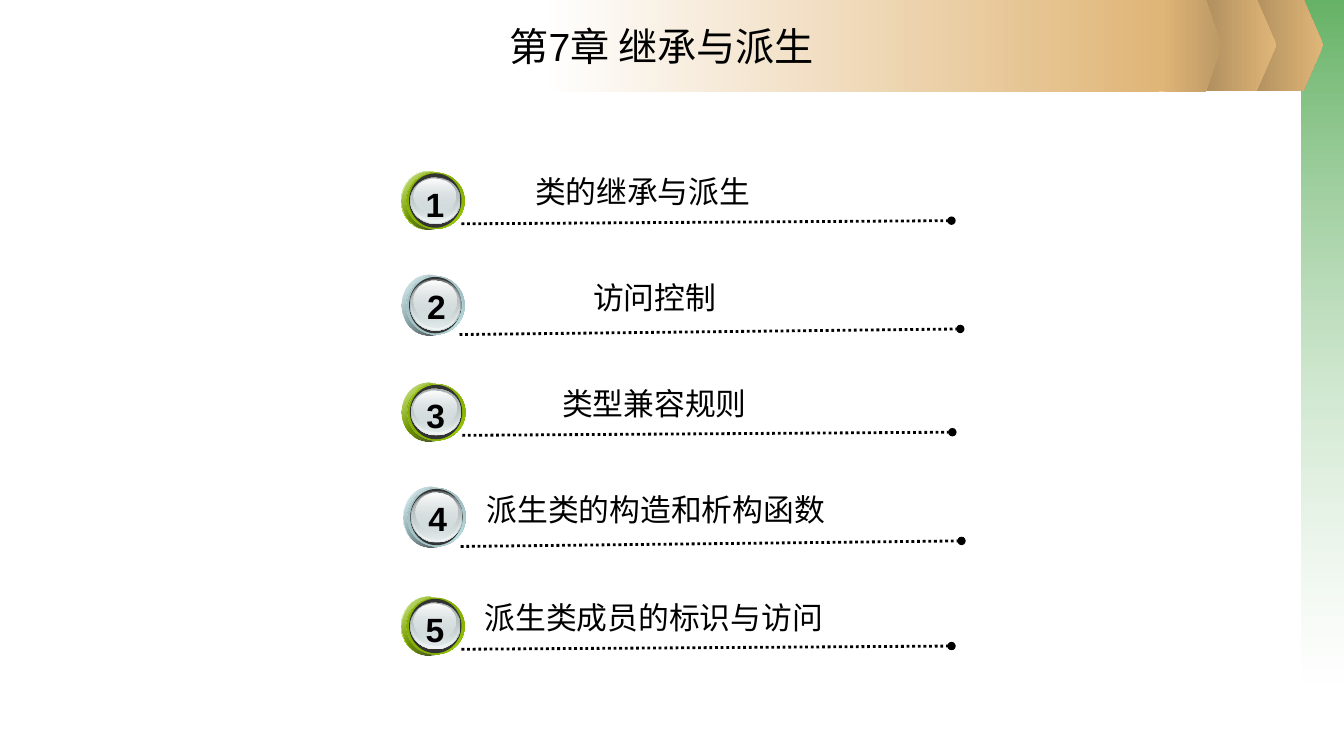
from lxml.etree import SubElement
from pptx import Presentation
from pptx.dml.color import RGBColor
from pptx.enum.dml import MSO_LINE
from pptx.enum.shapes import MSO_CONNECTOR, MSO_SHAPE
from pptx.enum.text import MSO_ANCHOR, PP_ALIGN
from pptx.oxml.ns import qn
from pptx.util import Cm, Pt

BLACK = RGBColor(0x00, 0x00, 0x00)
WHITE = RGBColor(0xFF, 0xFF, 0xFF)
CHARCOAL = RGBColor(0x33, 0x33, 0x33)
FOREST = RGBColor(0x33, 0x99, 0x33)
SAND = RGBColor(0xE0, 0xB6, 0x78)
BRONZE = RGBColor(0xAB, 0x8B, 0x5C)
TAN = RGBColor(0xBD, 0x99, 0x65)
LIME = RGBColor(0x99, 0xCC, 0x00)
LIME_DARK = RGBColor(0x75, 0x9C, 0x00)
LIME_MID = RGBColor(0x7E, 0xA7, 0x00)
AQUA = RGBColor(0xBB, 0xE0, 0xE3)
AQUA_DARK = RGBColor(0x8F, 0xAC, 0xAE)
AQUA_MID = RGBColor(0x9A, 0xB8, 0xBA)
STEEL = RGBColor(0x63, 0x68, 0x69)
SILVER = RGBColor(0xAA, 0xB2, 0xB3)
MIST = RGBColor(0xD6, 0xE1, 0xE2)
PEARL = RGBColor(0xF1, 0xF5, 0xF5)


def add_gradient_shape(shapes, kind, box, angle, stops):
    """Stops are (position %, colour, opacity %); the angle runs clockwise."""
    shape = shapes.add_shape(kind, *map(Cm, box))
    shape.shadow.inherit = False
    shape.line.fill.background()
    shape.fill.gradient()
    gradient = shape._element.spPr.find(qn("a:gradFill"))
    gradient.find(qn("a:lin")).set("ang", str(angle * 60000))
    stop_list = gradient.find(qn("a:gsLst"))
    stop_list.clear()
    for position, colour, opacity in stops:
        stop = SubElement(stop_list, qn("a:gs"), pos=str(position * 1000))
        rgb = SubElement(stop, qn("a:srgbClr"), val=str(colour))
        if opacity < 100:
            SubElement(rgb, qn("a:alpha"), val=str(opacity * 1000))
    return shape


def add_text(shapes, text, box, size, bold=False):
    text_box = shapes.add_textbox(*map(Cm, box))
    frame = text_box.text_frame
    frame.word_wrap = True
    paragraph = frame.paragraphs[0]
    paragraph.text = text
    paragraph.alignment = PP_ALIGN.CENTER
    paragraph.font.name = "Arial"
    paragraph.font.size = Pt(size)
    paragraph.font.bold = bold
    paragraph.font.color.rgb = BLACK
    return frame


presentation = Presentation()
presentation.slide_width = Cm(33.87)
presentation.slide_height = Cm(19.05)
slide = presentation.slides.add_slide(presentation.slide_layouts[6])

# Green side band and sand-coloured header
add_gradient_shape(slide.shapes, MSO_SHAPE.RECTANGLE, (32.81, 0, 1.05, 17.2), 90,
                   [(0, FOREST, 75), (100, WHITE, 37)])
header = [
    (MSO_SHAPE.PENTAGON, (31.35, -0.02, 2, 2.31), BRONZE, SAND),
    (MSO_SHAPE.PENTAGON, (30.17, -0.02, 2, 2.31), BRONZE, SAND),
    (MSO_SHAPE.RECTANGLE, (13.61, 0, 15.6, 2.31), WHITE, SAND),
    (MSO_SHAPE.PENTAGON, (29.21, 0, 1.57, 2.31), SAND, TAN),
]
for kind, box, start, end in header:
    shape = add_gradient_shape(slide.shapes, kind, box, 0, [(0, start, 100), (100, end, 100)])
    if kind == MSO_SHAPE.PENTAGON:
        shape.adjustments[0] = 0.25

# Title
title = add_text(slide.shapes, "第7章 继承与派生", (4.32, 0.36, 24.71, 1.57), 28)
title.vertical_anchor = MSO_ANCHOR.MIDDLE

# Badge styles: all boxes and line ends are relative to the badge corner
green_badge = {
    "colours": (LIME, LIME_DARK, LIME_MID),
    "outer": (0, 0, 1.35, 1.47),
    "ring": (0.13, 0.03, 1.47, 1.42),
    "rim": (0.2, 0.05, 1.32, 1.37),
    "glass": [(0.23, 0.15, 1.27, 1.17), (0.23, 0.15, 1.24, 1.14),
              (0.25, 0.15, 1.19, 1.07), (0.3, 0.18, 1.07, 0.86)],
    "digit": (0.38, 0.18, 0.94, 1.27),
    "line": (1.52, 1.32, 13.87, 1.24),
    "label_offset": -0.08,
}
blue_badge = {
    "colours": (AQUA, AQUA_DARK, AQUA_MID),
    "outer": (0, 0, 1.37, 1.52),
    "ring": (0.11, 0.03, 1.47, 1.47),
    "rim": (0.18, 0.05, 1.32, 1.42),
    "glass": [(0.2, 0.1, 1.3, 1.3), (0.22, 0.1, 1.24, 1.27),
              (0.23, 0.13, 1.19, 1.19), (0.3, 0.15, 1.07, 0.97)],
    "digit": (0.4, 0.15, 0.94, 1.27),
    "line": (1.45, 1.5, 14.07, 1.36),
    "label_offset": -0.03,
}
glass_stops = [
    [(0, STEEL, 100), (100, MIST, 100)],
    [(0, MIST, 0), (100, PEARL, 100)],
    [(0, SILVER, 100), (100, MIST, 48)],
    [(0, WHITE, 100), (100, MIST, 38)],
]
chapters = [
    ("类的继承与派生", 10.11, 4.32, 11.71, green_badge),
    ("访问控制", 10.13, 6.93, 12.27, blue_badge),
    ("类型兼容规则", 10.13, 9.65, 12.27, green_badge),
    ("派生类的构造和析构函数", 10.16, 12.27, 12.27, blue_badge),
    ("派生类成员的标识与访问", 10.11, 15.04, 12.27, green_badge),
]

for number, (label, left, top, label_width, badge) in enumerate(chapters, 1):
    # Dotted line ending in a dot
    x1, y1, x2, y2 = badge["line"]
    connector = slide.shapes.add_connector(MSO_CONNECTOR.STRAIGHT, Cm(left + x1), Cm(top + y1),
                                           Cm(left + x2), Cm(top + y2))
    connector.line.color.rgb = BLACK
    connector.line.width = Pt(2)
    connector.line.dash_style = MSO_LINE.ROUND_DOT
    SubElement(connector.line._get_or_add_ln(), qn("a:tailEnd"), type="oval")
    SubElement(connector._element.spPr, qn("a:effectLst"))

    # Numbered badge, from the outer ring to the glass highlight
    base, dark, middle = badge["colours"]
    layers = [
        (badge["outer"], 45, [(0, WHITE, 100), (50, base, 100), (100, WHITE, 100)]),
        (badge["outer"], 45, [(0, base, 32), (100, BLACK, 90)]),
        (badge["ring"], 315, [(0, dark, 100), (50, base, 100), (100, dark, 100)]),
        (badge["ring"], 45, [(0, middle, 100), (100, base, 0)]),
        (badge["rim"], 0, [(0, CHARCOAL, 100), (100, CHARCOAL, 100)]),
    ]
    layers += [(box, 90, stops) for box, stops in zip(badge["glass"], glass_stops)]
    group = slide.shapes.add_group_shape()
    for (x, y, width, height), angle, stops in layers:
        ellipse = add_gradient_shape(group.shapes, MSO_SHAPE.OVAL,
                                     (left + x, top + y, width, height), angle, stops)
        if box_is_rim := (x, y, width, height) == badge["rim"]:
            ellipse.fill.solid()
            ellipse.fill.fore_color.rgb = CHARCOAL
    x, y, width, height = badge["digit"]
    digit = add_text(group.shapes, str(number), (left + x, top + y, width, height), 24, True)
    digit.margin_left = digit.margin_right = 0

    # Chapter label
    add_text(slide.shapes, label,
             (left + 0.23, top + badge["label_offset"], label_width, 1.19), 22)

presentation.save("out.pptx")
